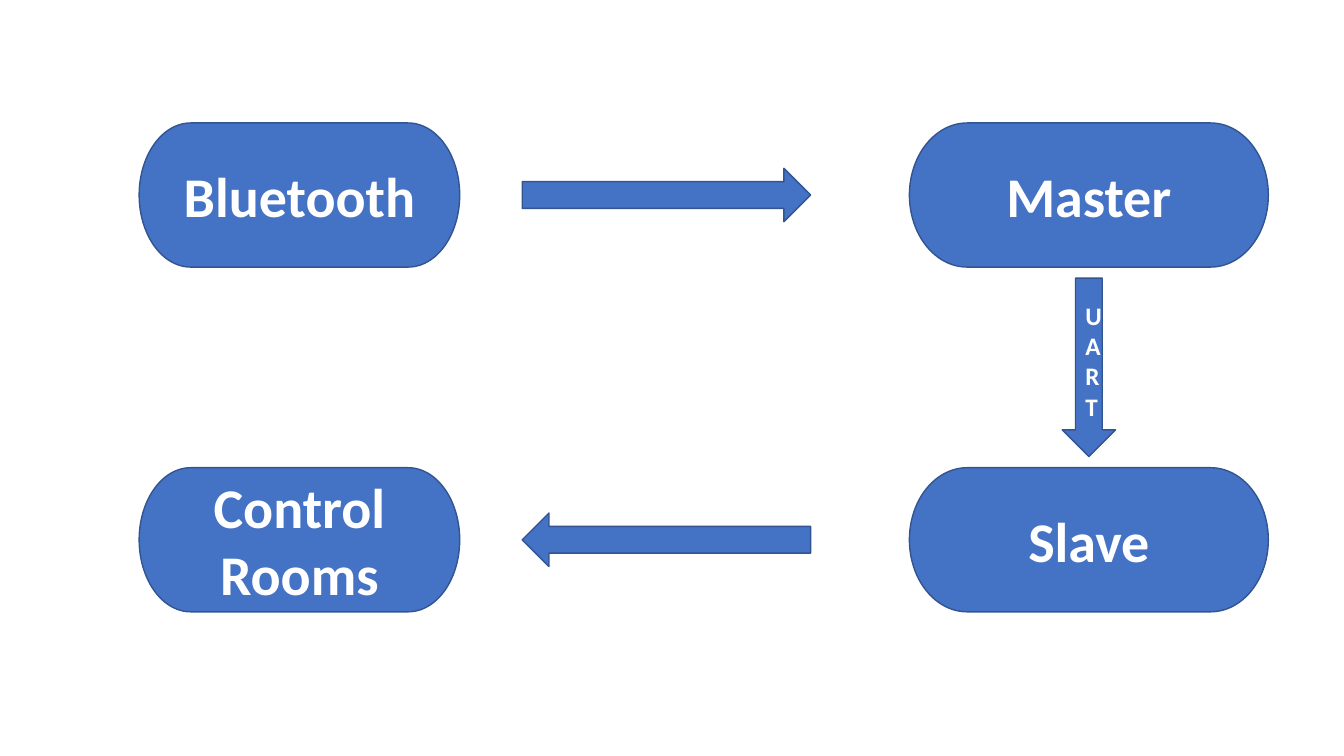
from pptx import Presentation
from pptx import util as u
from pptx.dml.color import RGBColor
from pptx.enum import shapes, text

COLORS = {"fill": "4472C4", "line": "325491", "text": "FFFFFF"}
KINDS = shapes.MSO_SHAPE
LEFT_COLUMN, RIGHT_COLUMN = (1.38, 3.18), (9.02, 3.56)
TOP_ROW, BOTTOM_ROW = 1.22, 4.64
BLOCK_HEIGHT = 1.43
ARROW_LEFT, ARROW_LENGTH, ARROW_THICKNESS = 5.18, 2.86, 0.53
LINK_GAP = 0.11

BLOCKS = [
    ("Bluetooth", LEFT_COLUMN, TOP_ROW),
    ("Master", RIGHT_COLUMN, TOP_ROW),
    ("Slave", RIGHT_COLUMN, BOTTOM_ROW),
    ("Control Rooms", LEFT_COLUMN, BOTTOM_ROW),
]
ARROWS = [(KINDS.RIGHT_ARROW, TOP_ROW), (KINDS.LEFT_ARROW, BOTTOM_ROW)]
LINK_LABEL = "UART"


def add_part(slide, kind, box, label="", size=40):
    shape = slide.shapes.add_shape(kind, *(u.Inches(value) for value in box))
    shape.shadow.inherit = False
    shape.fill.solid()
    shape.fill.fore_color.rgb = RGBColor.from_string(COLORS["fill"])
    shape.line.color.rgb = RGBColor.from_string(COLORS["line"])
    shape.line.width = u.Pt(1)
    if label:
        frame = shape.text_frame
        frame.word_wrap = True
        frame.vertical_anchor = text.MSO_ANCHOR.MIDDLE
        paragraph = frame.paragraphs[0]
        paragraph.alignment = text.PP_ALIGN.CENTER
        run = paragraph.add_run()
        run.text = label
        font_format = {"name": "Calibri", "size": u.Pt(size), "bold": True}
        for name, value in font_format.items():
            setattr(run.font, name, value)
        run.font.color.rgb = RGBColor.from_string(COLORS["text"])


def main():
    """Build the control flow slide from Bluetooth to the control rooms."""
    presentation = Presentation()
    presentation.slide_width = u.Inches(13.33)
    presentation.slide_height = u.Inches(7.5)
    slide = presentation.slides.add_slide(presentation.slide_layouts[6])

    for label, (left, width), top in BLOCKS:
        add_part(slide, KINDS.FLOWCHART_TERMINATOR, (left, top, width, BLOCK_HEIGHT), label)

    for kind, row in ARROWS:
        top = row + (BLOCK_HEIGHT - ARROW_THICKNESS) / 2
        add_part(slide, kind, (ARROW_LEFT, top, ARROW_LENGTH, ARROW_THICKNESS))

    left, width = RIGHT_COLUMN
    link_left = left + (width - ARROW_THICKNESS) / 2
    link_top = TOP_ROW + BLOCK_HEIGHT + LINK_GAP
    link_length = BOTTOM_ROW - LINK_GAP - link_top
    link_box = (link_left, link_top, ARROW_THICKNESS, link_length)
    add_part(slide, KINDS.DOWN_ARROW, link_box, LINK_LABEL, 18)

    presentation.save("out.pptx")


if __name__ == "__main__":
    main()
